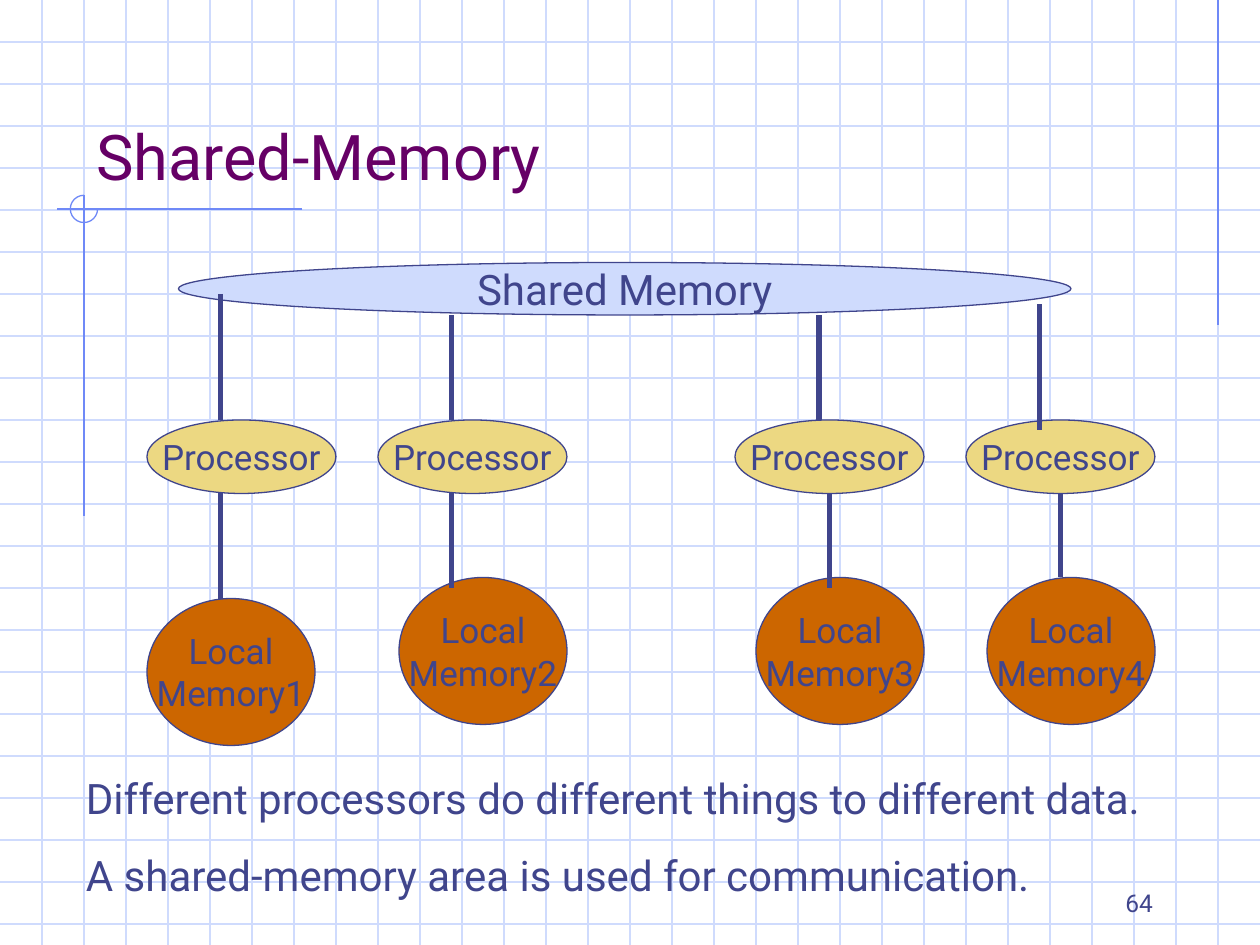
import pptx
import pptx.util
import pptx.dml.color
import pptx.enum.shapes
import pptx.enum.text
import pptx.oxml.ns
import lxml.etree

RGBColor = pptx.dml.color.RGBColor
GRID_BLUE = RGBColor(0xCF, 0xDB, 0xFD)
ACCENT_BLUE = RGBColor(0x6F, 0x89, 0xF7)
INK = RGBColor(0x40, 0x45, 0x8C)
PURPLE = RGBColor(0x66, 0x00, 0x66)
SAND = RGBColor(0xEC, 0xD8, 0x82)
ORANGE = RGBColor(0xCC, 0x66, 0x00)

ALIGN = pptx.enum.text.PP_ALIGN
ANCHOR = pptx.enum.text.MSO_ANCHOR
SHAPE = pptx.enum.shapes.MSO_SHAPE

# The slide is 120 columns by 90 rows, each a twelfth of an inch
COLUMNS, ROWS, SQUARE = 120, 90, 4


class Sketch:
    """Holds the text style and the current slide; lengths are grid units."""

    font_name = "Roboto"

    def __init__(self, slide):
        self.slide = slide

    def units(self, *lengths):
        return [pptx.util.Inches(length / 12) for length in lengths]

    def line(self, start, end, color=INK, width=3):
        connector = self.slide.shapes.add_connector(
            pptx.enum.shapes.MSO_CONNECTOR.STRAIGHT, *self.units(*start, *end))
        connector.line.color.rgb = color
        connector.line.width = pptx.util.Pt(width)
        lxml.etree.SubElement(connector._element.spPr,
                              pptx.oxml.ns.qn("a:effectLst"))

    def fill_text(self, box, lines, size, color=INK, align=ALIGN.LEFT,
                  anchor=ANCHOR.TOP, wrap=True, gap=0):
        frame = box.text_frame
        frame.word_wrap = wrap
        frame.vertical_anchor = anchor
        font_values = {"name": self.font_name, "size": pptx.util.Pt(size)}
        for index, text in enumerate(lines):
            para = frame.add_paragraph() if index else frame.paragraphs[0]
            para.alignment = align
            if index and gap:
                para.space_before = pptx.util.Pt(gap)
            span = para.add_run()
            span.text = text
            for name, value in font_values.items():
                setattr(span.font, name, value)
            span.font.color.rgb = color

    def text(self, place, lines, size, **style):
        box = self.slide.shapes.add_textbox(*self.units(*place))
        self.fill_text(box, lines, size, **style)

    def outline(self, kind, place, color):
        shape = self.slide.shapes.add_shape(kind, *self.units(*place))
        shape.shadow.inherit = False
        shape.line.color.rgb = color
        shape.line.width = pptx.util.Pt(0.75)
        return shape

    def ellipse(self, place, lines, size, fill):
        shape = self.outline(SHAPE.OVAL, place, INK)
        shape.fill.solid()
        shape.fill.fore_color.rgb = fill
        self.fill_text(shape, lines, size, align=ALIGN.CENTER,
                       anchor=ANCHOR.MIDDLE, wrap=False)

    def arc(self, place, start, end, color):
        shape = self.outline(SHAPE.ARC, place, color)
        shape.fill.background()
        # Arc angles are stored as 60000ths of a degree over 100000
        for index, degrees in enumerate((start, end)):
            shape.adjustments[index] = degrees * 0.6


def main():
    deck = pptx.Presentation()
    deck.slide_width = pptx.util.Inches(10)
    deck.slide_height = pptx.util.Inches(7.5)
    sketch = Sketch(deck.slides.add_slide(deck.slide_layouts[6]))

    # Squared paper
    for row in range(SQUARE, ROWS, SQUARE):
        sketch.line((0, row), (COLUMNS, row), GRID_BLUE, 0.75)
    for column in range(SQUARE, COLUMNS, SQUARE):
        sketch.line((column, 0), (column, ROWS), GRID_BLUE, 0.75)

    # Accent lines and the open circle where they cross
    for start, end in (((116, 0), (116, 31)),
                       ((28.8, 19.9), (5.4, 19.9)),
                       ((8, 18.6), (8, 49.1))):
        sketch.line(start, end, ACCENT_BLUE, 0.75)
    sketch.arc((6.7, 18.6, 2.6, 2.6), 0, 270, ACCENT_BLUE)

    # Title
    sketch.text((8, 4, 102, 15), ["Shared-Memory"], 36, color=PURPLE,
                anchor=ANCHOR.BOTTOM)

    # Shared memory, processors and local memories
    sketch.ellipse((17, 25, 85, 5), ["Shared Memory"], 24, GRID_BLUE)
    for column in (14, 36, 70, 92):
        sketch.ellipse((column, 40, 18, 7), ["Processor"], 20, SAND)
    memories = ((14, 57), (38, 55), (72, 55), (94, 55))
    for number, (column, row) in enumerate(memories, 1):
        sketch.ellipse((column, row, 16, 14), ["Local", f"Memory{number}"],
                       20, ORANGE)

    # Links: column, first row, last row
    for column, top, bottom in ((21, 28, 40), (21, 47, 57),
                                (43, 30, 40), (43, 47, 56),
                                (78, 30, 40), (79, 47, 56),
                                (99, 29, 41), (101, 47, 55)):
        sketch.line((column, top), (column, bottom))

    # Explanation and slide number
    sketch.text((7, 73, 105, 18), [
        "Different processors do different things to different data.",
        "A shared-memory area is used for communication."], 24, gap=15)
    sketch.text((86, 82, 25, 6), ["64"], 14, align=ALIGN.RIGHT,
                anchor=ANCHOR.BOTTOM)

    deck.save("out.pptx")


if __name__ == "__main__":
    main()
